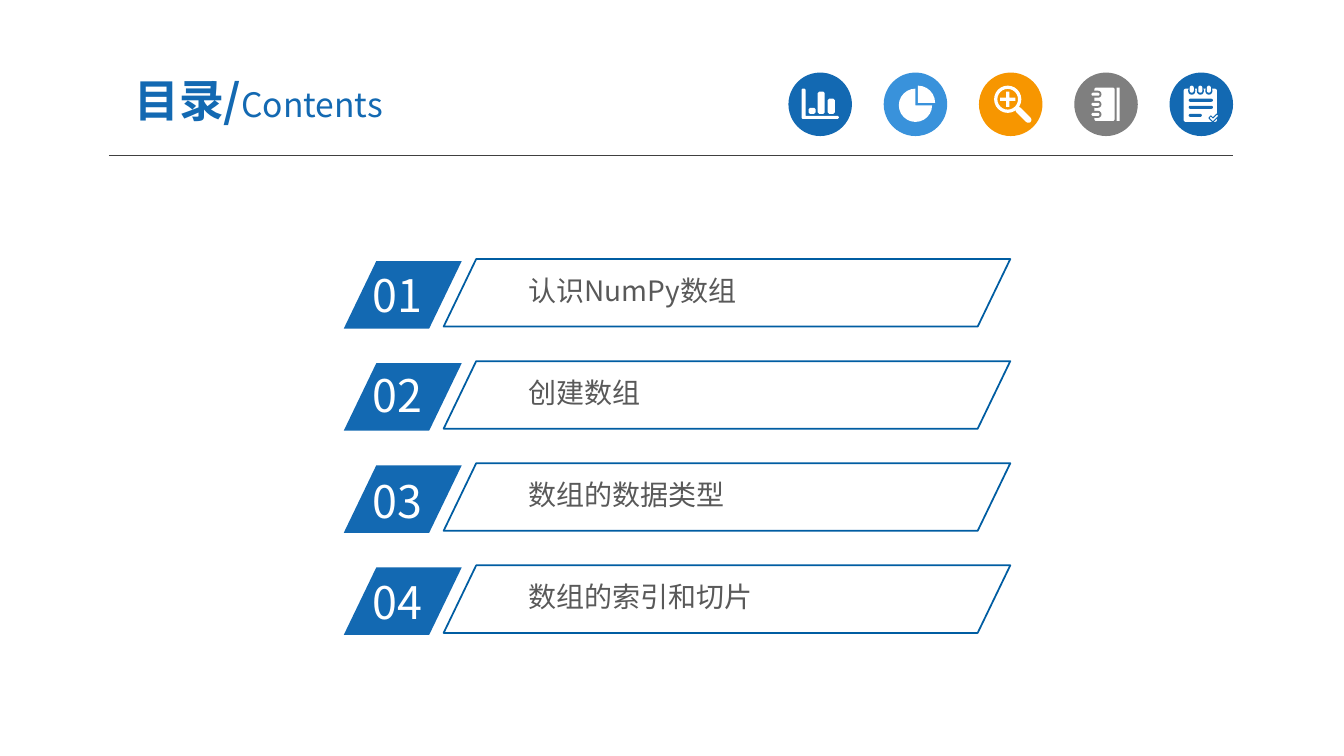
from lxml import etree
from pptx import Presentation
from pptx.dml.color import RGBColor
from pptx.enum.shapes import MSO_CONNECTOR, MSO_SHAPE as Shape
from pptx.enum.text import MSO_ANCHOR, MSO_AUTO_SIZE, PP_ALIGN
from pptx.oxml.ns import qn
from pptx.util import Inches, Pt

BLUE = RGBColor(0x13, 0x69, 0xB2)
SKY = RGBColor(0x39, 0x92, 0xDB)
ORANGE = RGBColor(0xF7, 0x96, 0x00)
GRAY = RGBColor(0x7F, 0x7F, 0x7F)
RULE_GRAY = RGBColor(0x40, 0x40, 0x40)
FRAME_BLUE = RGBColor(0x00, 0x5D, 0xA2)
TEXT_GRAY = RGBColor(0x59, 0x59, 0x59)
WHITE = RGBColor(0xFF, 0xFF, 0xFF)

FONT = "Noto Sans CJK SC"
SLANT = 0.482
ROW_STEP = 1.013
BADGE_SIZE, BADGE_STEP = 0.63, 0.945
BADGE_LEFT, BADGE_TOP = 7.82, 0.72

# Number, its text top, topic
TOPICS = [
    ("01", 2.61, "认识NumPy数组"),
    ("02", 3.6, "创建数组"),
    ("03", 4.65, "数组的数据类型"),
    ("04", 5.65, "数组的索引和切片"),
]


def add_run(paragraph, text, size, color, bold=False):
    run = paragraph.add_run()
    run.text = text
    font = run.font
    font.size, font.bold, font.name = Pt(size), bold, FONT
    font.color.rgb = color
    etree.SubElement(run._r.get_or_add_rPr(), qn("a:ea"), typeface=FONT)


def add_text(slide, text, left, top, width, height, size, color, insets=(0.1, 0.05)):
    box = slide.shapes.add_textbox(*map(Inches, (left, top, width, height)))
    frame = box.text_frame
    frame.word_wrap = True
    frame.margin_left = frame.margin_right = Inches(insets[0])
    frame.margin_top = frame.margin_bottom = Inches(insets[1])
    add_run(frame.paragraphs[0], text, size, color)


def paint(shape, fill=None, line=None, line_width=1.25):
    shape.shadow.inherit = False
    if fill is None:
        shape.fill.background()
    else:
        shape.fill.solid()
        shape.fill.fore_color.rgb = fill
    if line is None:
        shape.line.fill.background()
    else:
        shape.line.color.rgb = line
        shape.line.width = Pt(line_width)


def add_preset(slide, kind, left, top, width, height, adjust=(), **colors):
    shape = slide.shapes.add_shape(kind, *map(Inches, (left, top, width, height)))
    for index, value in enumerate(adjust):
        shape.adjustments[index] = value
    paint(shape, **colors)
    return shape


def add_outline(slide, contours, **colors):
    """Draw closed contours, given in inches on the slide, as one shape."""
    scaled = [[(Inches(x), Inches(y)) for x, y in contour] for contour in contours]
    builder = slide.shapes.build_freeform(*scaled[0][0])
    for index, contour in enumerate(scaled):
        if index:
            builder.move_to(*contour[0])
        builder.add_line_segments(contour[1:], close=True)
    paint(builder.convert_to_shape(), **colors)


def add_badge(slide, position, color):
    """Add a round badge and return a function that places parts within it."""
    left = BADGE_LEFT + position * BADGE_STEP
    add_preset(slide, Shape.OVAL, left, BADGE_TOP, BADGE_SIZE, BADGE_SIZE, fill=color)

    def add_part(kind, x, y, width, height, adjust=(), fill=WHITE):
        return add_preset(slide, kind, left + x, BADGE_TOP + y, width, height,
                          adjust, fill=fill)

    return add_part


def bar_contour(left, top, right, bottom, cut=0.015):
    """Rectangle with cut corners."""
    return [(left + cut, top), (right - cut, top), (right, top + cut),
            (right, bottom - cut), (right - cut, bottom), (left + cut, bottom),
            (left, bottom - cut), (left, top + cut)]


def add_bar_icon(slide):
    add_badge(slide, 0, BLUE)
    axes = [(7.96, 0.88), (7.98, 0.88), (7.99, 0.89), (7.99, 1.15), (8.31, 1.15),
            (8.32, 1.16), (8.32, 1.17), (8.31, 1.18), (7.96, 1.18), (7.95, 1.17),
            (7.95, 0.89)]
    bars = [bar_contour(left, top, left + 0.07, 1.13)
            for left, top in ((8.02, 1.07), (8.11, 0.91), (8.21, 0.98))]
    add_outline(slide, [axes, *bars], fill=WHITE)


def add_pie_icon(slide):
    part = add_badge(slide, 1, SKY)
    part(Shape.PIE, 0.15, 0.16, 0.33, 0.33, adjust=[0, 162])
    part(Shape.PIE, 0.17, 0.13, 0.34, 0.34, adjust=[162, 0])


def add_magnifier_icon(slide):
    part = add_badge(slide, 2, ORANGE)
    part(Shape.DONUT, 0.15, 0.13, 0.27, 0.27, adjust=[0.12])
    part(Shape.CROSS, 0.21, 0.19, 0.15, 0.15, adjust=[0.4])
    handle = part(Shape.ROUNDED_RECTANGLE, 0.34, 0.39, 0.2, 0.06, adjust=[0.5])
    handle.rotation = 45


def add_notebook_icon(slide):
    part = add_badge(slide, 3, GRAY)
    part(Shape.ROUNDED_RECTANGLE, 0.2, 0.15, 0.2, 0.33, adjust=[0.08])
    part(Shape.RECTANGLE, 0.42, 0.15, 0.03, 0.33)
    for ring in range(3):
        middle = 0.215 + 0.1 * ring
        part(Shape.ROUNDED_RECTANGLE, 0.17, middle - 0.035, 0.1, 0.07, [0.5], GRAY)
        part(Shape.ROUNDED_RECTANGLE, 0.17, middle - 0.015, 0.08, 0.03, [0.5])


def add_notepad_icon(slide):
    part = add_badge(slide, 4, BLUE)
    part(Shape.ROUNDED_RECTANGLE, 0.14, 0.16, 0.33, 0.33, adjust=[0.06])
    for ring in range(3):
        left = 0.2 + 0.085 * ring
        part(Shape.ROUNDED_RECTANGLE, left - 0.015, 0.14, 0.07, 0.08, [0.5], BLUE)
        part(Shape.ROUNDED_RECTANGLE, left, 0.13, 0.04, 0.07, [0.5])
    for top, width in ((0.26, 0.24), (0.33, 0.24), (0.41, 0.13)):
        part(Shape.ROUNDED_RECTANGLE, 0.19, top, width, 0.03, [0.5], BLUE)
    tick = [(11.99, 1.17), (12.01, 1.15), (12.03, 1.17),
            (12.07, 1.13), (12.09, 1.15), (12.03, 1.21)]
    add_outline(slide, [tick], fill=WHITE, line=BLUE, line_width=0.75)


def add_heading(slide):
    title = slide.shapes.title
    title.left, title.top = Inches(0.92), Inches(0.63)
    title.width, title.height = Inches(3.29), Inches(0.72)
    frame = title.text_frame
    frame.auto_size = MSO_AUTO_SIZE.NONE
    frame.word_wrap = True
    frame.vertical_anchor = MSO_ANCHOR.MIDDLE
    frame.margin_left = frame.margin_right = Inches(0.13)
    frame.margin_top = frame.margin_bottom = Inches(0.07)
    heading = frame.paragraphs[0]
    heading.alignment = PP_ALIGN.CENTER
    heading.space_before = Pt(0)
    add_run(heading, "目录/", 32, BLUE, bold=True)
    add_run(heading, "Contents", 24, BLUE)

    rule = slide.shapes.add_connector(
        MSO_CONNECTOR.STRAIGHT, *map(Inches, (1.08, 1.54, 12.23, 1.54)))
    rule.line.color.rgb = RULE_GRAY
    rule.line.width = Pt(0.75)
    etree.SubElement(rule._element.spPr, qn("a:effectLst"))


def add_topic(slide, row, number, number_top, topic):
    offset = row * ROW_STEP
    add_preset(slide, Shape.PARALLELOGRAM, 3.41, 2.59 + offset, 1.17, 0.67,
               [SLANT], fill=BLUE)
    add_text(slide, number, 3.6, number_top, 1.12, 0.64, 32, WHITE)
    add_text(slide, topic, 5.17, 2.67 + offset, 4.12, 0.41, 20, TEXT_GRAY, (0.07, 0.04))
    add_preset(slide, Shape.PARALLELOGRAM, 4.4, 2.57 + offset, 5.62, 0.67,
               [SLANT], line=FRAME_BLUE)


def main():
    deck = Presentation()
    deck.slide_width, deck.slide_height = Inches(13.33), Inches(7.5)
    slide = deck.slides.add_slide(deck.slide_layouts[5])

    add_heading(slide)
    for add_icon in (add_bar_icon, add_pie_icon, add_magnifier_icon,
                     add_notebook_icon, add_notepad_icon):
        add_icon(slide)
    for row, (number, number_top, topic) in enumerate(TOPICS):
        add_topic(slide, row, number, number_top, topic)

    deck.save("out.pptx")


if __name__ == "__main__":
    main()
